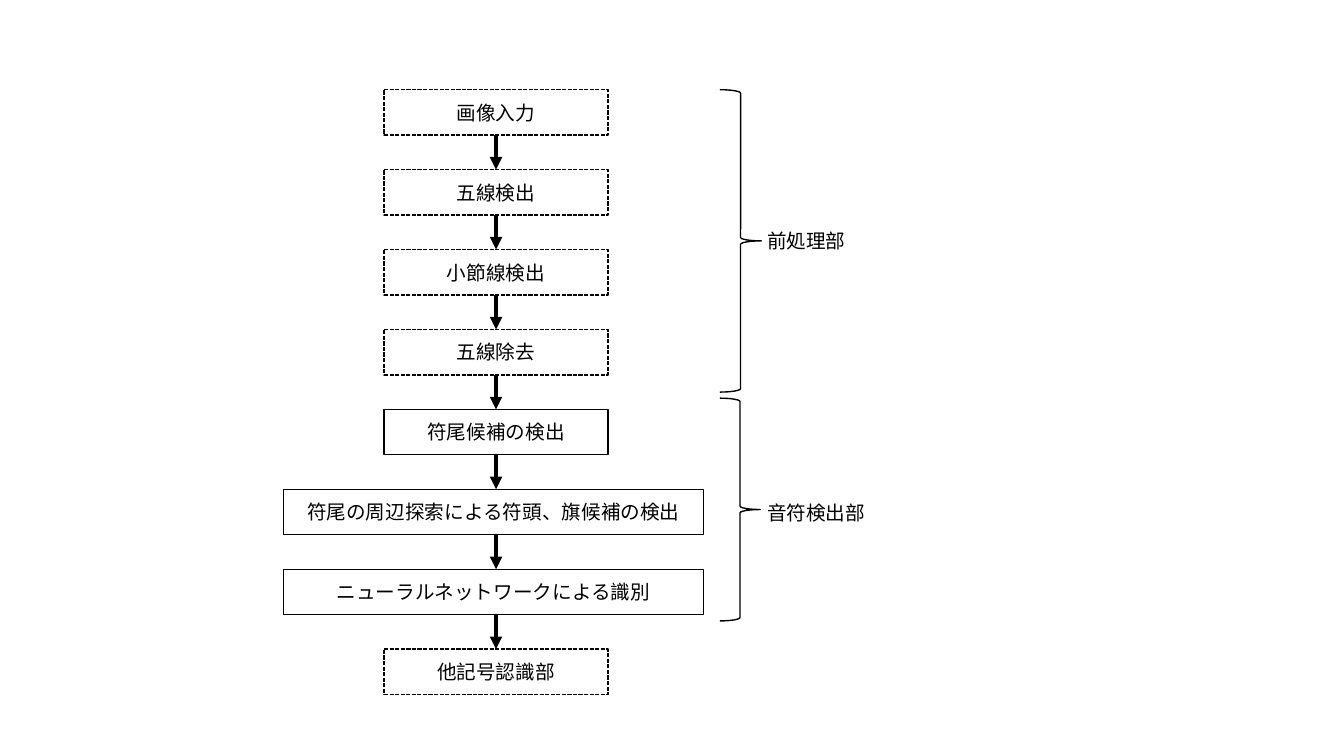
from lxml import etree
from pptx import Presentation
from pptx.dml.color import RGBColor
from pptx.enum.dml import MSO_LINE
from pptx.enum.shapes import MSO_CONNECTOR, MSO_SHAPE
from pptx.enum.text import MSO_ANCHOR, MSO_AUTO_SIZE, PP_ALIGN
from pptx.oxml.ns import qn
from pptx.util import Inches, Pt

PROCESS, BRACE = MSO_SHAPE.FLOWCHART_PROCESS, MSO_SHAPE.RIGHT_BRACE
STRAIGHT = MSO_CONNECTOR.STRAIGHT
DASHED, SOLID = MSO_LINE.SQUARE_DOT, None
LEFT, CENTER = PP_ALIGN.LEFT, PP_ALIGN.CENTER
MIDDLE = MSO_ANCHOR.MIDDLE
GROW = MSO_AUTO_SIZE.SHAPE_TO_FIT_TEXT

FONT = "Noto Sans CJK JP"
BLACK = "000000"
NARROW, WIDE = (3.81, 2.22), (2.81, 4.17)  # left, width

STEPS = [  # text, left and width, outline
    ("画像入力", NARROW, DASHED),
    ("五線検出", NARROW, DASHED),
    ("小節線検出", NARROW, DASHED),
    ("五線除去", NARROW, DASHED),
    ("符尾候補の検出", NARROW, SOLID),
    ("符尾の周辺探索による符頭、旗候補の検出", WIDE, SOLID),
    ("ニューラルネットワークによる識別", WIDE, SOLID),
    ("他記号認識部", NARROW, DASHED),
]
SECTIONS = [  # label, label top and width, brace top, width and height
    ("前処理部", 2.22, 0.99, 0.89, 0.41, 3.0),
    ("音符検出部", 4.92, 1.18, 3.95, 0.4, 2.21),
]
FIRST_TOP, LAST_TOP, STEP_HEIGHT = 0.89, 6.44, 0.45
PITCH = (LAST_TOP - FIRST_TOP) / (len(STEPS) - 1)
FLOW_X = NARROW[0] + NARROW[1] / 2
BRACE_LEFT, LABEL_LEFT, LABEL_HEIGHT = 7.14, 7.51, 0.34


def color(hex_string):
    return RGBColor.from_string(hex_string)


def set_line(line, width, dash=SOLID):
    line.color.rgb = color(BLACK)
    line.width = Pt(width)
    if dash is not None:
        line.dash_style = dash


def write(shape, text, alignment, **frame_format):
    frame = shape.text_frame
    for name, value in frame_format.items():
        setattr(frame, name, value)
    paragraph = frame.paragraphs[0]
    paragraph.alignment = alignment
    run = paragraph.add_run()
    run.text = text
    run.font.size = Pt(14)
    run.font.color.rgb = color(BLACK)
    run.font.name = FONT
    east_asian = etree.SubElement(run.font._element, qn("a:ea"))
    east_asian.set("typeface", FONT)


def add_outline(slide, kind, left, top, width, height, dash=SOLID):
    """Add an unfilled preset shape with a thin black line."""
    shape = slide.shapes.add_shape(
        kind, Inches(left), Inches(top), Inches(width), Inches(height))
    shape.shadow.inherit = False
    shape.fill.background()
    set_line(shape.line, 1, dash)
    return shape


def add_down_arrow(slide, x, top, bottom):
    arrow = slide.shapes.add_connector(
        STRAIGHT, Inches(x), Inches(top), Inches(x), Inches(bottom))
    set_line(arrow.line, 3)
    head = etree.SubElement(arrow.line._get_or_add_ln(), qn("a:tailEnd"))
    head.set("type", "triangle")
    etree.SubElement(arrow._element.spPr, qn("a:effectLst"))


def main():
    presentation = Presentation()
    presentation.slide_width = Inches(13.33)
    presentation.slide_height = Inches(7.5)
    slide = presentation.slides.add_slide(presentation.slide_layouts[6])

    for index, (text, (left, width), dash) in enumerate(STEPS):
        top = FIRST_TOP + index * PITCH
        box = add_outline(slide, PROCESS, left, top, width, STEP_HEIGHT, dash)
        write(box, text, CENTER, vertical_anchor=MIDDLE, word_wrap=True)
        if index:
            add_down_arrow(slide, FLOW_X, top - PITCH + STEP_HEIGHT, top)

    for text, label_top, label_width, top, width, height in SECTIONS:
        add_outline(slide, BRACE, BRACE_LEFT, top, width, height)
        label = slide.shapes.add_textbox(
            Inches(LABEL_LEFT), Inches(label_top),
            Inches(label_width), Inches(LABEL_HEIGHT))
        write(label, text, LEFT, word_wrap=False, auto_size=GROW)

    presentation.save("out.pptx")


if __name__ == "__main__":
    main()
